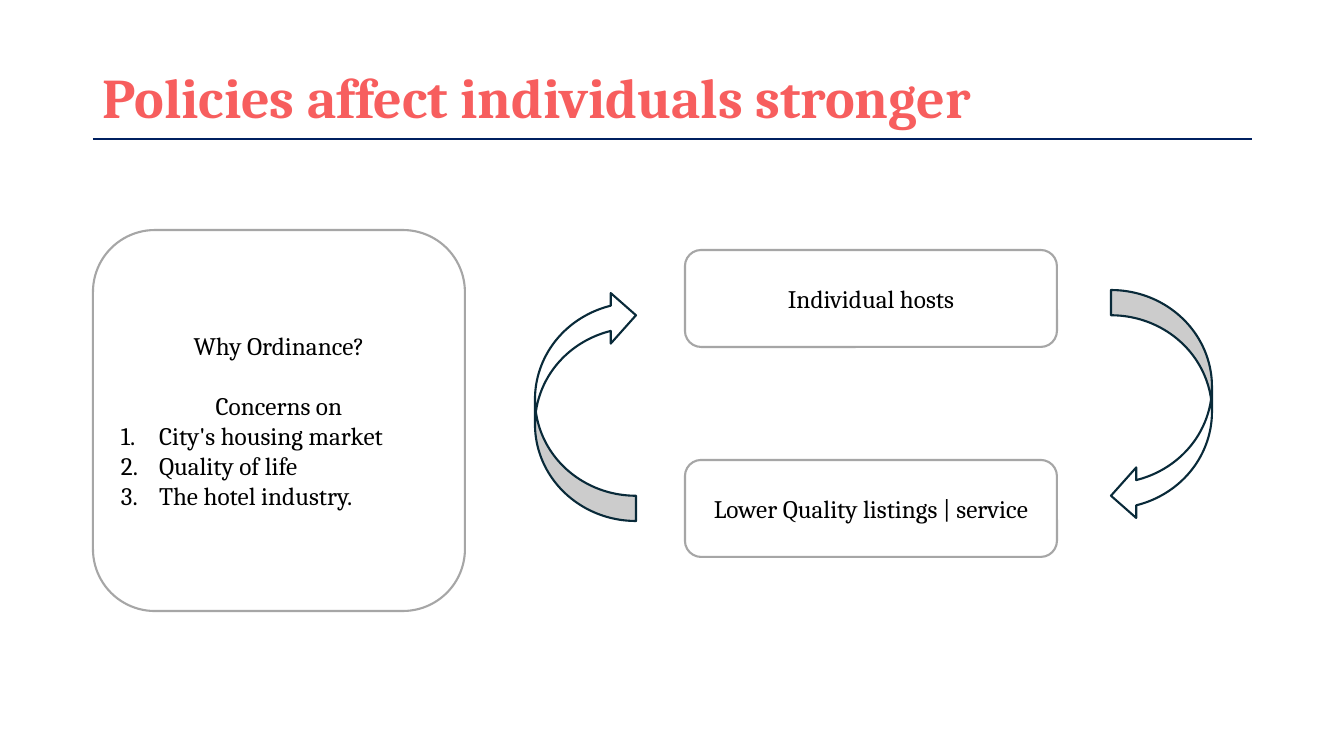
from lxml.etree import SubElement
from pptx import Presentation
from pptx.dml.color import RGBColor
from pptx.enum.shapes import MSO_CONNECTOR as Connector, MSO_SHAPE as Shape
from pptx.enum.text import MSO_ANCHOR as Anchor, PP_ALIGN as Align
from pptx.oxml.ns import qn
from pptx.util import Pt

EMU_PER_PX = 914400 / 100.8

CORAL = RGBColor(0xF7, 0x5E, 0x5E)
NAVY = RGBColor(0x00, 0x20, 0x60)
TEAL = RGBColor(0x09, 0x2A, 0x39)
GRAY = RGBColor(0xA6, 0xA6, 0xA6)
BLACK = RGBColor(0, 0, 0)
WHITE = RGBColor(0xFF, 0xFF, 0xFF)

TITLE = {"size": Pt(40), "bold": True, "color": CORAL}
BODY = {"size": Pt(18), "color": BLACK}
PLAIN = {"alignment": Align.LEFT}
CENTERED = {"alignment": Align.CENTER}
BEFORE_GAP = {"alignment": Align.CENTER, "space_after": Pt(21)}
NUMBERED = {"alignment": Align.LEFT}


def px(*lengths):
    return [round(length * EMU_PER_PX) for length in lengths]


class SlideBuilder:
    font = "Cambria"
    line_width = Pt(1.5)
    list_indent = 38

    def __init__(self, slide):
        self.shapes = slide.shapes

    def rule(self, x1, y1, x2, y2, color):
        rule = self.shapes.add_connector(Connector.STRAIGHT, *px(x1, y1, x2, y2))
        rule.line.color.rgb = color
        rule.line.width = self.line_width
        SubElement(rule.element.spPr, qn("a:effectLst"))

    def title(self, box, text):
        frame = self.shapes.add_textbox(*px(*box)).text_frame
        frame.word_wrap = True
        self.fill_text(frame, [(text, PLAIN)], TITLE)

    def outlined(self, kind, box, color, rotation=0):
        outlined = self.shapes.add_shape(kind, *px(*box))
        outlined.shadow.inherit = False
        outlined.rotation = rotation
        outlined.fill.solid()
        outlined.fill.fore_color.rgb = WHITE
        outlined.line.color.rgb = color
        outlined.line.width = self.line_width
        return outlined

    def card(self, box, lines):
        frame = self.outlined(Shape.ROUNDED_RECTANGLE, box, GRAY).text_frame
        frame.word_wrap = True
        frame.vertical_anchor = Anchor.MIDDLE
        self.fill_text(frame, lines, BODY)

    def fill_text(self, frame, lines, style):
        for index, (text, layout) in enumerate(lines):
            paragraph = frame.add_paragraph() if index else frame.paragraphs[0]
            if layout is NUMBERED:
                self.number(paragraph)
            for name, value in layout.items():
                setattr(paragraph, name, value)
            run = paragraph.add_run()
            run.text = text
            run.font.name = self.font
            for name, value in style.items():
                if name == "color":
                    run.font.color.rgb = value
                else:
                    setattr(run.font, name, value)

    def number(self, paragraph):
        indent, = px(self.list_indent)
        properties = paragraph._p.get_or_add_pPr()
        properties.set("marL", str(indent))
        properties.set("indent", str(-indent))
        SubElement(properties, qn("a:buFont"), typeface="+mj-lt")
        SubElement(properties, qn("a:buAutoNum"), type="arabicPeriod")


def main():
    deck = Presentation()
    deck.slide_width, deck.slide_height = px(1344, 756)
    builder = SlideBuilder(deck.slides.add_slide(deck.slide_layouts[6]))

    # Heading
    builder.rule(93, 139, 1252, 139, NAVY)
    builder.title((93, 58, 1080, 78), "Policies affect individuals stronger")

    # Cycle between hosts and listing quality
    for top, stage in ((250, "Individual hosts"),
                       (460, "Lower Quality listings | service")):
        builder.card((685, top, 372, 97), [(stage, CENTERED)])
    for left, rotation in ((1111, 0), (535, 180)):
        builder.outlined(Shape.CURVED_LEFT_ARROW, (left, 290, 101, 231),
                         TEAL, rotation)

    # Reasons for the ordinance
    concerns = ("City's housing market", "Quality of life", "The hotel industry.")
    builder.card((93, 230, 372, 381),
                 [("Why Ordinance?", BEFORE_GAP), ("Concerns on", CENTERED)]
                 + [(concern, NUMBERED) for concern in concerns])

    deck.save("out.pptx")


if __name__ == "__main__":
    main()
